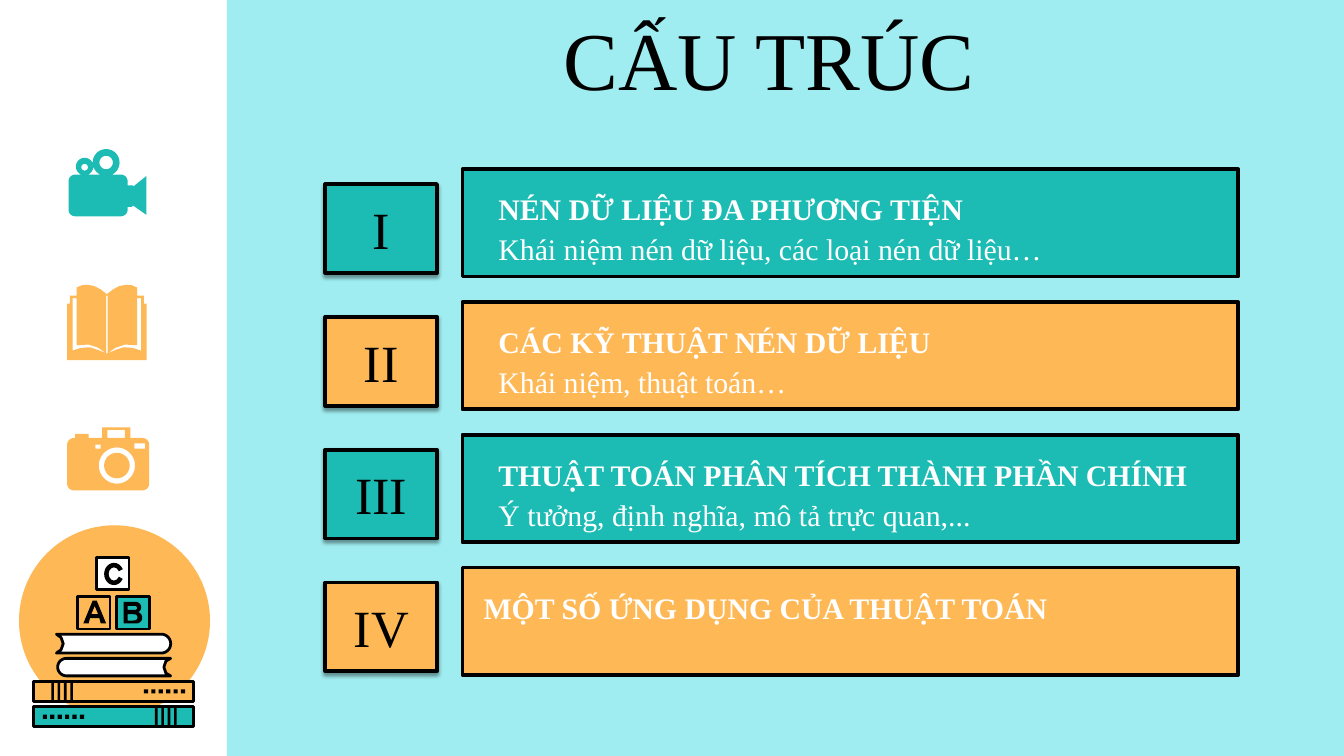
"""Build the structure slide: an icon sidebar and four numbered sections."""
from math import cos, radians, sin

from lxml import etree
from pptx import Presentation
from pptx.dml.color import RGBColor
from pptx.enum.shapes import MSO_SHAPE
from pptx.enum.text import MSO_ANCHOR, MSO_AUTO_SIZE, PP_ALIGN
from pptx.oxml.ns import qn
from pptx.util import Cm, Pt

RECT, OVAL, BLOCK_ARC = MSO_SHAPE.RECTANGLE, MSO_SHAPE.OVAL, MSO_SHAPE.BLOCK_ARC
TOP, MIDDLE = MSO_ANCHOR.TOP, MSO_ANCHOR.MIDDLE
CENTER, LEFT = PP_ALIGN.CENTER, PP_ALIGN.LEFT
NO_AUTOFIT = MSO_AUTO_SIZE.NONE

TEAL = RGBColor(0x1C, 0xBB, 0xB4)
ORANGE = RGBColor(0xFE, 0xB8, 0x56)
CYAN = RGBColor(0x9F, 0xED, 0xF0)
WHITE = RGBColor(0xFF, 0xFF, 0xFF)
BLACK = RGBColor(0, 0, 0)

FONT = "Times New Roman"
TITLE = {"name": FONT, "size": Pt(44), "bold": False}
NUMERAL = {"name": FONT, "size": Pt(28), "bold": False}
HEADING = {"name": FONT, "size": Pt(16), "bold": True}
DETAIL = {"name": FONT, "size": Pt(16), "bold": False}
SHADOW = {"blurRad": Pt(2), "dist": Pt(1.5), "dir": 90 * 60000, "rotWithShape": 0}
UNIT = Cm(2.54) / 100

prs = Presentation()
prs.slide_width, prs.slide_height = Cm(25.4), Cm(14.29)
s = prs.slides.add_slide(prs.slide_layouts[5])


def draw(shape, fill, line=0, box=None):
    """Add a preset shape in a cm box, or an outline of points and arcs."""
    if box:
        sp = s.shapes.add_shape(shape, *[Cm(v) for v in box])
    else:
        builder = None
        for loop in shape:
            pts = []
            for item in loop:
                if len(item) == 2:
                    pts.append(item)
                    continue
                cx, cy, radius, start, end = item
                steps = max(6, (end - start) // 10)
                angles = [radians(start + (end - start) * i / steps) for i in range(steps + 1)]
                pts += [(cx + radius * cos(a), cy + radius * sin(a)) for a in angles]
            pts = [(x * UNIT, y * UNIT) for x, y in pts]
            if builder:
                builder.move_to(*pts[0])
            else:
                builder = s.shapes.build_freeform(*pts[0])
            builder.add_line_segments(pts[1:], close=True)
        sp = builder.convert_to_shape()
    sp.shadow.inherit = False
    sp.fill.solid()
    sp.fill.fore_color.rgb = fill
    if line:
        sp.line.color.rgb = BLACK
        sp.line.width = Pt(line)
    else:
        sp.line.fill.background()
    return sp


def write(sp, text, style, color, align, anchor=TOP):
    """Put one formatted line of text in a shape."""
    tf = sp.text_frame
    settings = {"word_wrap": True, "auto_size": NO_AUTOFIT, "vertical_anchor": anchor,
                "margin_left": Cm(0.25), "margin_right": Cm(0.25),
                "margin_top": Cm(0.13), "margin_bottom": Cm(0.13)}
    for key, value in settings.items():
        setattr(tf, key, value)
    p = tf.paragraphs[0]
    p.alignment = align
    r = p.add_run()
    r.text = text
    for key, value in style.items():
        setattr(r.font, key, value)
    r.font.color.rgb = color


draw(RECT, CYAN, box=(4.29, 0, 21.11, 14.29))
draw(OVAL, ORANGE, box=(0.36, 9.93, 3.61, 3.61))

for y, color, stripe_x, dot_x in [(12.88, ORANGE, 0.97, 2.72), (13.36, TEAL, 2.93, 0.81)]:
    draw(RECT, color, 1.5, (0.64, y, 3.02, 0.38))
    for i in range(4):
        draw(RECT, BLACK, box=(stripe_x + 0.12 * i, y, 0.05, 0.38))
    for i in range(6):
        draw(RECT, BLACK, box=(dot_x + 0.14 * i, y + 0.15, 0.08, 0.08))

for x, y, color in [(1.47, 11.28, ORANGE), (2.21, 11.28, TEAL), (1.83, 10.54, WHITE)]:
    draw(RECT, color, 1.5, (x, y, 0.61, 0.61))

letter_a = [
    [(69, 447), (72, 447), (79, 464), (75, 464), (74, 460), (67, 460), (66, 464), (62, 464)],
    [(70.5, 451), (68, 457), (73, 457)],
]
letter_b = [
    [(92, 448), (101, 452, 4, -90, 60), (101.5, 459.7, 4.3, -60, 90), (92, 464)],
    [(95, 451), (100.5, 452.5, 1.5, -90, 90), (95, 454)],
    [(95, 457), (100, 459.5, 2.3, -90, 90), (95, 462)],
]
draw(letter_a, BLACK)
draw(letter_b, BLACK)
letter_c = draw(BLOCK_ARC, BLACK, box=(1.97, 10.64, 0.37, 0.42))
for i, value in enumerate((17.57, 198.9, 0.23)):
    letter_c.adjustments[i] = value

upper_book = [(42, 472), (120, 479, 7, -90, 90), (42, 486),
              (45.5, 483.5), (47, 479), (45.5, 474.5)]
lower_book = [(127, 503), (49.5, 496.5, 6.5, 90, 270), (127, 490),
              (123.5, 492), (122, 496.5), (123.5, 501)]
for book in (upper_book, lower_book):
    draw([book], WHITE, 1.5)

title = s.shapes.title
title.element.getparent().append(title.element)
title.left, title.top, title.width, title.height = Cm(4.29), Cm(0.03), Cm(20.5), Cm(2.16)
write(title, "CẤU TRÚC", TITLE, BLACK, CENTER)

sections = [
    ("I", TEAL, 9.17, "NÉN DỮ LIỆU ĐA PHƯƠNG TIỆN",
     "Khái niệm nén dữ liệu, các loại nén dữ liệu…"),
    ("II", ORANGE, 9.17, "CÁC KỸ THUẬT NÉN DỮ LIỆU", "Khái niệm, thuật toán…"),
    ("III", TEAL, 9.17, "THUẬT TOÁN PHÂN TÍCH THÀNH PHẦN CHÍNH",
     "Ý tưởng, định nghĩa, mô tả trực quan,..."),
    ("IV", ORANGE, 8.89, "MỘT SỐ ỨNG DỤNG CỦA THUẬT TOÁN", None),
]
for i, (numeral, color, text_x, heading, detail) in enumerate(sections):
    y = 3.2 + 2.51 * i
    sp = draw(RECT, color, 2, (6.15, y + 0.28, 2.11, 1.68))
    write(sp, numeral, NUMERAL, BLACK, CENTER, MIDDLE)
    effects = sp.element.spPr.find(qn("a:effectLst"))
    shadow = etree.SubElement(effects, qn("a:outerShdw"),
                              {key: str(value) for key, value in SHADOW.items()})
    shade = etree.SubElement(shadow, qn("a:srgbClr"), val=str(BLACK))
    etree.SubElement(shade, qn("a:alpha"), val="40000")
    draw(RECT, color, 2, (8.74, y, 14.66, 2.03))
    for text, style, offset in [(heading, HEADING, 0.28), (detail, DETAIL, 1.03)]:
        if text:
            sp = s.shapes.add_textbox(Cm(text_x), Cm(y + offset), Cm(13.92), Cm(0.94))
            write(sp, text, style, WHITE, LEFT)

photo_camera = [
    [(55, 331, 5, 180, 270), (56, 326), (56, 323), (66, 323), (66, 326), (76, 326),
     (76, 318), (97, 318), (97, 326), (106, 331, 5, 270, 360), (106, 360, 5, 0, 90),
     (55, 360, 5, 90, 180)],
    [(80, 320), (93, 320), (93, 326), (80, 326)],
    [(71, 331), (75, 331), (75, 334), (71, 334)],
    [(100, 330), (108, 330), (108, 334), (100, 334)],
    [(87, 346.5, 13.5, 0, 360)],
    [(87, 346.5, 9.5, 0, 360)],
]
film_camera = [
    [(56, 135, 5, 180, 270), (63, 124, 6.5, 112, 428), (79, 121, 10, 116, 424),
     (90, 135, 5, 270, 360), (95, 138), (99, 138), (99, 139), (109, 131), (109, 160),
     (99, 153), (98, 154), (95, 154), (90, 156, 5, 0, 90), (56, 156, 5, 90, 180)],
    [(63, 124.5, 2.5, 0, 360)],
    [(79, 121, 5, 0, 360)],
]
cover = [(50, 268), (50, 226), (52, 226), (52, 220), (57, 220), (57, 214), (61, 212.3),
         (65, 212), (70, 212.8), (75, 215.5), (79.5, 219)]
page = [(57, 222), (54, 222), (54, 261), (60, 259), (67, 258.5), (73, 260.5), (79, 263),
        (73, 258.8), (66, 256.5), (57, 257)]
open_book = [
    cover + [(159 - x, y) for x, y in reversed(cover)],
    page,
    [(159 - x, y) for x, y in page],
    [(79, 220), (80, 220), (80, 263), (79, 263)],
]
for icon, color in [(photo_camera, ORANGE), (film_camera, TEAL), (open_book, ORANGE)]:
    draw(icon, color)

prs.save("out.pptx")
